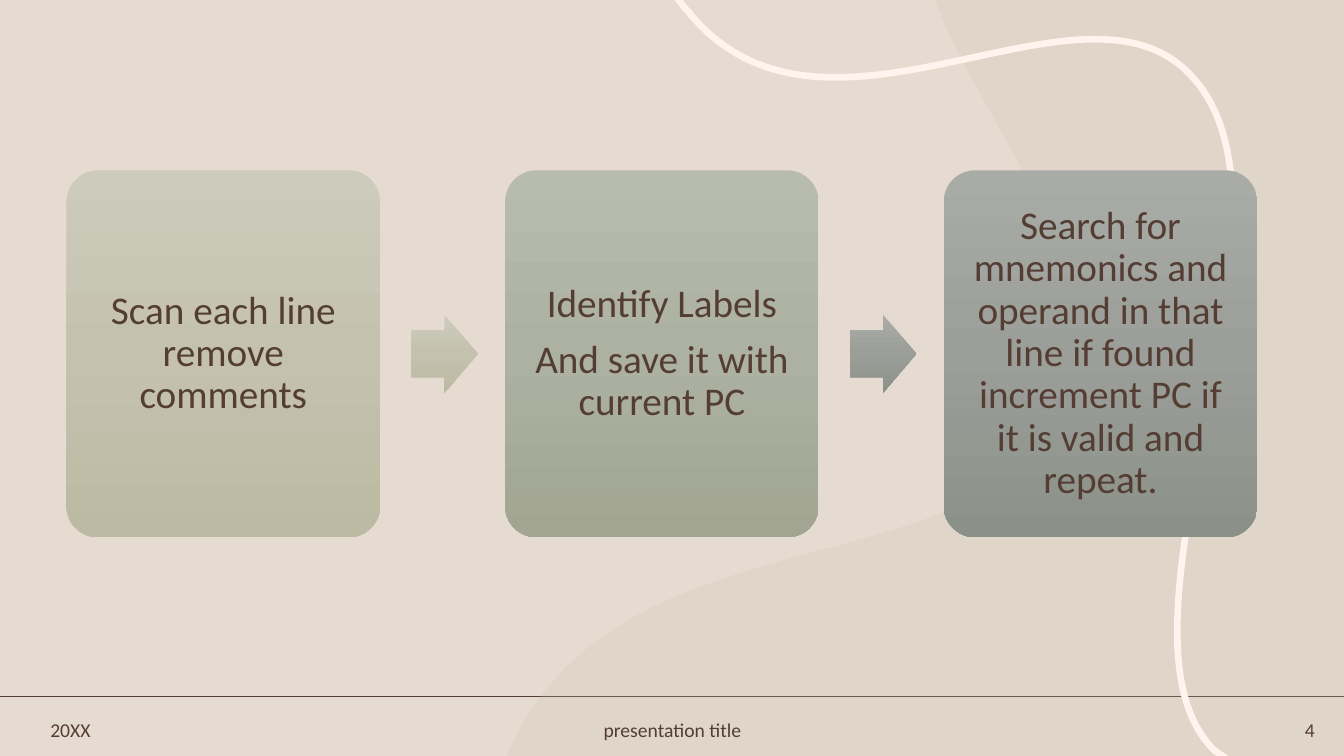
from copy import deepcopy

from lxml.etree import SubElement
from pptx import Presentation
from pptx.dml.color import RGBColor
from pptx.enum.shapes import MSO_CONNECTOR, MSO_SHAPE
from pptx.enum.text import MSO_ANCHOR, PP_ALIGN
from pptx.oxml.ns import qn
from pptx.util import Inches, Pt

BACKGROUND = RGBColor(0xE6, 0xDB, 0xD0)
BROWN = RGBColor(0x54, 0x3E, 0x34)
BLOB = RGBColor(0xC6, 0xC4, 0xAF)
CREAM = RGBColor(0xFE, 0xF3, 0xED)
SAND = [RGBColor.from_string(code) for code in ("CDCBBB", "C4C2AF", "BCBAA2")]
SAGE = [RGBColor.from_string(code) for code in ("B8BCAD", "ADB1A2", "A1A592")]
SLATE = [RGBColor.from_string(code) for code in ("A8ABA6", "9C9F99", "8B9088")]

FONT = "Calibri"
SLIDE_WIDTH, SLIDE_HEIGHT = 13.33, 7.5
CARD_LEFT, CARD_TOP, CARD_WIDTH, CARD_HEIGHT = 0.66, 1.69, 3.11, 3.64
CARD_PITCH = 4.35
ARROW_WIDTH, ARROW_HEIGHT, ARROW_OFFSET = 0.66, 0.77, 3.42

STEPS = [
    (["Scan each line remove comments"], SAND),
    (["Identify Labels", "And save it with current PC"], SAGE),
    (["Search for mnemonics and operand in that line if found "
      "increment PC if it is valid and repeat."], SLATE),
]
ARROW_COLORS = [SAND, SLATE]
FOOTERS = [
    ("20XX", 0.4, 1.08, PP_ALIGN.LEFT),
    ("presentation title", 4.79, 3.76, PP_ALIGN.CENTER),
    ("4", 12.06, 1.08, PP_ALIGN.RIGHT),
]

# Each segment is one end point, or two control points and an end point.
BLOB_START = (9.27, 0)
BLOB_SEGMENTS = [
    [(13.33, 0)], [(13.33, 7.5)], [(5.03, 7.5)], [(5.07, 7.4)],
    [(5.11, 7.31), (5.15, 7.25), (5.17, 7.21)],
    [(6.31, 5.12), (9.62, 5.78), (10.52, 4.19)],
    [(11.23, 2.96), (9.88, 1.46), (9.32, 0.12)],
]
RIBBON_START = (12.17, 7.53)
RIBBON_SEGMENTS = [
    [(12.14, 7.51)], [(12.05, 7.45)],
    [(10.84, 6.27), (13.07, 2.2), (11.85, 0.79)],
    [(10.78, -0.47), (8.2, 1.8), (6.83, 0.12)],
    [(6.8, 0.09), (6.76, 0.04), (6.71, -0.03)],
]


def add_outline(slide, start, segments, close):
    """Add a freeform of straight and cubic Bezier segments."""
    builder = slide.shapes.build_freeform(Inches(start[0]), Inches(start[1]))
    builder.add_line_segments(
        [(Inches(x), Inches(y)) for x, y in (segment[-1] for segment in segments)],
        close=close)
    shape = builder.convert_to_shape()
    shape.shadow.inherit = False
    lines = list(shape._element.spPr.iter(qn("a:lnTo")))
    for line, segment in zip(lines, segments):
        if len(segment) == 3:
            bend_line(line, segment[:2], shape.left, shape.top)
    return shape


def bend_line(line, controls, left, top):
    """Turn a straight path segment into a cubic curve."""
    line.tag = qn("a:cubicBezTo")
    for index, (x, y) in enumerate(controls):
        point = SubElement(line, qn("a:pt"))
        point.set("x", str(Inches(x) - left))
        point.set("y", str(Inches(y) - top))
        line.insert(index, point)


def add_blob(slide):
    """Add the translucent background area."""
    shape = add_outline(slide, BLOB_START, BLOB_SEGMENTS, close=True)
    shape.fill.solid()
    shape.fill.fore_color.rgb = BLOB
    shape.line.fill.background()
    color = shape._element.spPr.find(qn("a:solidFill"))[0]
    SubElement(color, qn("a:alpha")).set("val", "20000")


def add_ribbon(slide):
    """Add the winding cream line."""
    shape = add_outline(slide, RIBBON_START, RIBBON_SEGMENTS, close=False)
    shape.fill.background()
    shape.line.color.rgb = CREAM
    shape.line.width = Pt(4.75)


def add_rule(slide, y):
    """Add the horizontal line above the footer."""
    line = slide.shapes.add_connector(
        MSO_CONNECTOR.STRAIGHT, 0, Inches(y), Inches(SLIDE_WIDTH), Inches(y))
    line.line.color.rgb = BROWN
    line.line.width = Pt(1.25)
    SubElement(line._element.spPr, qn("a:effectLst"))


def set_text(shape, paragraphs, *, size, align, margin=None, line_spacing=None,
             space_after=None):
    """Write paragraphs into a shape, vertically centred."""
    frame = shape.text_frame
    frame.word_wrap = True
    frame.vertical_anchor = MSO_ANCHOR.MIDDLE
    if margin is not None:
        frame.margin_left = frame.margin_right = Inches(margin)
        frame.margin_top = frame.margin_bottom = Inches(margin)
    frame.text = "\n".join(paragraphs)
    for paragraph in frame.paragraphs:
        paragraph.alignment = align
        paragraph.line_spacing = line_spacing
        paragraph.space_after = space_after
        font = paragraph.runs[0].font
        font.name, font.size, font.color.rgb = FONT, Pt(size), BROWN


def add_gradient_shape(slide, kind, left, top, width, height, colors, adjustments):
    """Add a preset shape with a three-colour gradient from top to bottom."""
    shape = slide.shapes.add_shape(
        kind, Inches(left), Inches(top), Inches(width), Inches(height))
    for index, value in enumerate(adjustments):
        shape.adjustments[index] = value
    shape.shadow.inherit = False
    shape.line.fill.background()
    shape.fill.gradient()
    shape.fill.gradient_angle = 270
    stop_list = shape._element.spPr.find(qn("a:gradFill")).find(qn("a:gsLst"))
    stop_list.insert(1, deepcopy(stop_list[0]))
    for stop, color, position in zip(shape.fill.gradient_stops, colors, (0, 0.5, 1)):
        stop.color.rgb = color
        stop.position = position
    return shape


def add_card(slide, index, paragraphs, colors):
    """Add one step of the process."""
    card = add_gradient_shape(
        slide, MSO_SHAPE.ROUNDED_RECTANGLE, CARD_LEFT + index * CARD_PITCH, CARD_TOP,
        CARD_WIDTH, CARD_HEIGHT, colors, [0.1])
    set_text(card, paragraphs, size=28, align=PP_ALIGN.CENTER, margin=0.12,
             line_spacing=0.9, space_after=Pt(9.8))


def add_arrow(slide, index, colors):
    """Add the arrow that follows a step."""
    left = CARD_LEFT + index * CARD_PITCH + ARROW_OFFSET
    top = CARD_TOP + (CARD_HEIGHT - ARROW_HEIGHT) / 2
    add_gradient_shape(slide, MSO_SHAPE.RIGHT_ARROW, left, top,
                       ARROW_WIDTH, ARROW_HEIGHT, colors, [0.6, 0.5])


def add_footer(slide, text, left, width, align):
    """Add one footer text."""
    box = slide.shapes.add_textbox(Inches(left), Inches(7.07), Inches(width), Inches(0.34))
    set_text(box, [text], size=14, align=align)


def main():
    """Build and save the slide."""
    presentation = Presentation()
    presentation.slide_width = Inches(SLIDE_WIDTH)
    presentation.slide_height = Inches(SLIDE_HEIGHT)
    slide = presentation.slides.add_slide(presentation.slide_layouts[6])
    slide.background.fill.solid()
    slide.background.fill.fore_color.rgb = BACKGROUND
    add_rule(slide, 6.91)
    add_blob(slide)
    add_ribbon(slide)
    for footer in FOOTERS:
        add_footer(slide, *footer)
    for index, (paragraphs, colors) in enumerate(STEPS):
        add_card(slide, index, paragraphs, colors)
        if index < len(ARROW_COLORS):
            add_arrow(slide, index, ARROW_COLORS[index])
    presentation.save("out.pptx")


main()
